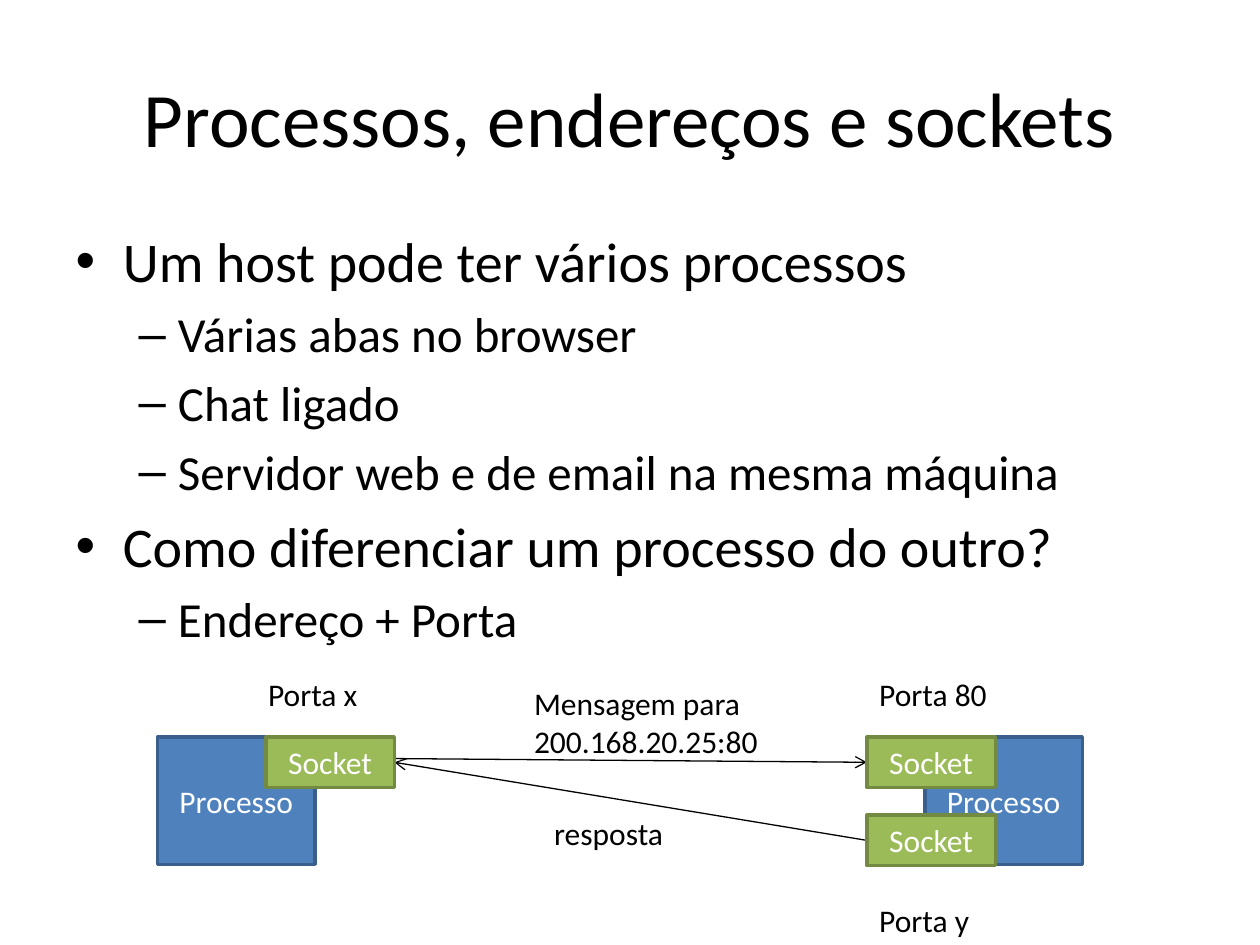
from pptx import Presentation
from pptx.dml.color import RGBColor
from pptx.enum.shapes import MSO_CONNECTOR as Link, MSO_SHAPE as Shape
from pptx.enum.text import MSO_ANCHOR as Anchor, PP_ALIGN as Align
from pptx.oxml.ns import qn
from pptx.util import Inches, Pt
from lxml.etree import SubElement as Sub

HEX = {
    "ink": "000000", "white": "FFFFFF",
    "blue": "4F81BD", "navy": "3A5F8C",
    "green": "9BBB59", "moss": "738A42",
}
TOP, LEFT = 0, 1
RIGHT = 3


class Deck:
    font = "Calibri"
    size = 18

    def __init__(self):
        self.prs = Presentation()
        self.prs.slide_width, self.prs.slide_height = Inches(10), Inches(7.5)
        self.slide = self.prs.slides.add_slide(self.prs.slide_layouts[1])

    def color(self, name):
        return RGBColor.from_string(HEX[name])

    def style(self, para, size, ink="ink"):
        for run in para.runs:
            run.font.name = self.font
            run.font.size = Pt(size)
            run.font.color.rgb = self.color(ink)

    def place(self, shape, x, y, w, h):
        shape.left, shape.top = Inches(x), Inches(y)
        shape.width, shape.height = Inches(w), Inches(h)

    def title(self, text):
        shape = self.slide.shapes.title
        self.place(shape, 0.5, 0.3, 9, 1.25)
        shape.text_frame.text = text
        self.style(shape.text_frame.paragraphs[0], 44)

    def bullets(self, items):
        shape = self.slide.placeholders[1]
        self.place(shape, 0.5, 1.75, 9, 4.95)
        frame = shape.text_frame
        frame.text = "\n".join(text for _, text in items)
        for para, (level, _) in zip(frame.paragraphs, items):
            para.level = level
            self.style(para, (32, 28)[level])

    def label(self, text, x, y, w, h=0.4):
        box = self.slide.shapes.add_textbox(*map(Inches, (x, y, w, h)))
        box.text_frame.word_wrap = True
        box.text_frame.text = text
        for para in box.text_frame.paragraphs:
            self.style(para, self.size)

    def box(self, text, x, y, w, h, fill, edge):
        shape = self.slide.shapes.add_shape(
            Shape.RECTANGLE, *map(Inches, (x, y, w, h)))
        shape.shadow.inherit = False
        shape.fill.solid()
        shape.fill.fore_color.rgb = self.color(fill)
        shape.line.color.rgb = self.color(edge)
        shape.line.width = Pt(2)
        frame = shape.text_frame
        frame.vertical_anchor = Anchor.MIDDLE
        frame.text = text
        frame.paragraphs[0].alignment = Align.CENTER
        self.style(frame.paragraphs[0], self.size, "white")
        return shape

    def arrow(self, x1, y1, x2, y2):
        line = self.slide.shapes.add_connector(
            Link.STRAIGHT, *map(Inches, (x1, y1, x2, y2)))
        line.line.color.rgb = self.color("ink")
        line.line.width = Pt(0.75)
        Sub(line.line._get_or_add_ln(), qn("a:tailEnd"), type="arrow")
        Sub(line._element.spPr, qn("a:effectLst"))
        return line


def main():
    deck = Deck()

    # Title and list
    deck.title("Processos, endereços e sockets")
    deck.bullets([
        (0, "Um host pode ter vários processos"),
        (1, "Várias abas no browser"),
        (1, "Chat ligado"),
        (1, "Servidor web e de email na mesma máquina"),
        (0, "Como diferenciar um processo do outro?"),
        (1, "Endereço + Porta"),
    ])

    # Arrows, behind the boxes
    ask = deck.arrow(3.05, 6.02, 6.88, 6.05)
    reply = deck.arrow(6.88, 6.67, 3.13, 6.05)

    # Processes and their sockets
    for x in (1.25, 7.34):
        deck.box("Processo", x, 5.85, 1.25, 1.01, "blue", "navy")
    client, web, other = [
        deck.box("Socket", x, y, 1.02, 0.4, "green", "moss")
        for x, y in ((2.11, 5.85), (6.88, 5.85), (6.88, 6.47))
    ]
    ask.end_connect(web, LEFT)
    reply.begin_connect(other, LEFT)
    reply.end_connect(client, RIGHT)

    # Labels
    deck.label("Mensagem para\n200.168.20.25:80", 4.14, 5.38, 2.17, 0.71)
    deck.label("resposta", 4.3, 6.41, 1.17)
    deck.label("Porta x", 2.03, 5.31, 1)
    deck.label("Porta 80", 6.88, 5.31, 1.16)
    deck.label("Porta y", 6.88, 7.1, 1)

    deck.prs.save("out.pptx")


if __name__ == "__main__":
    main()
